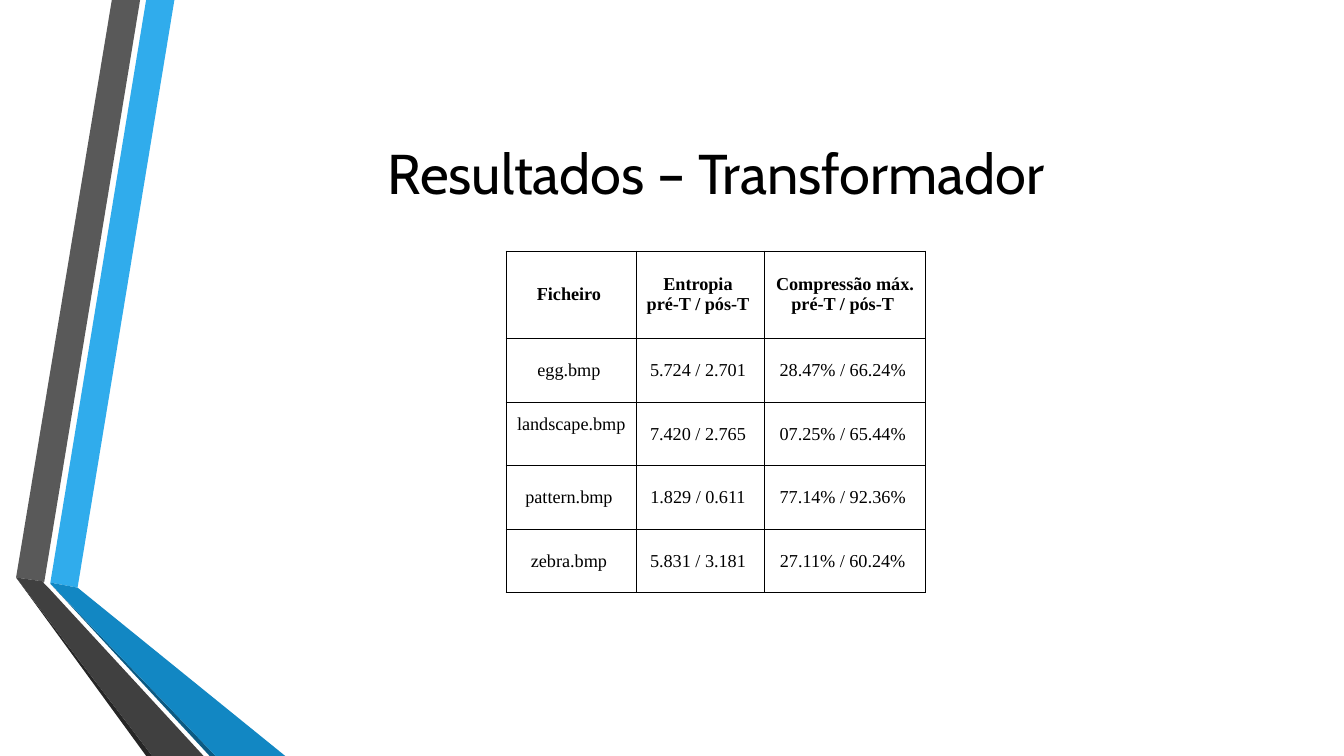
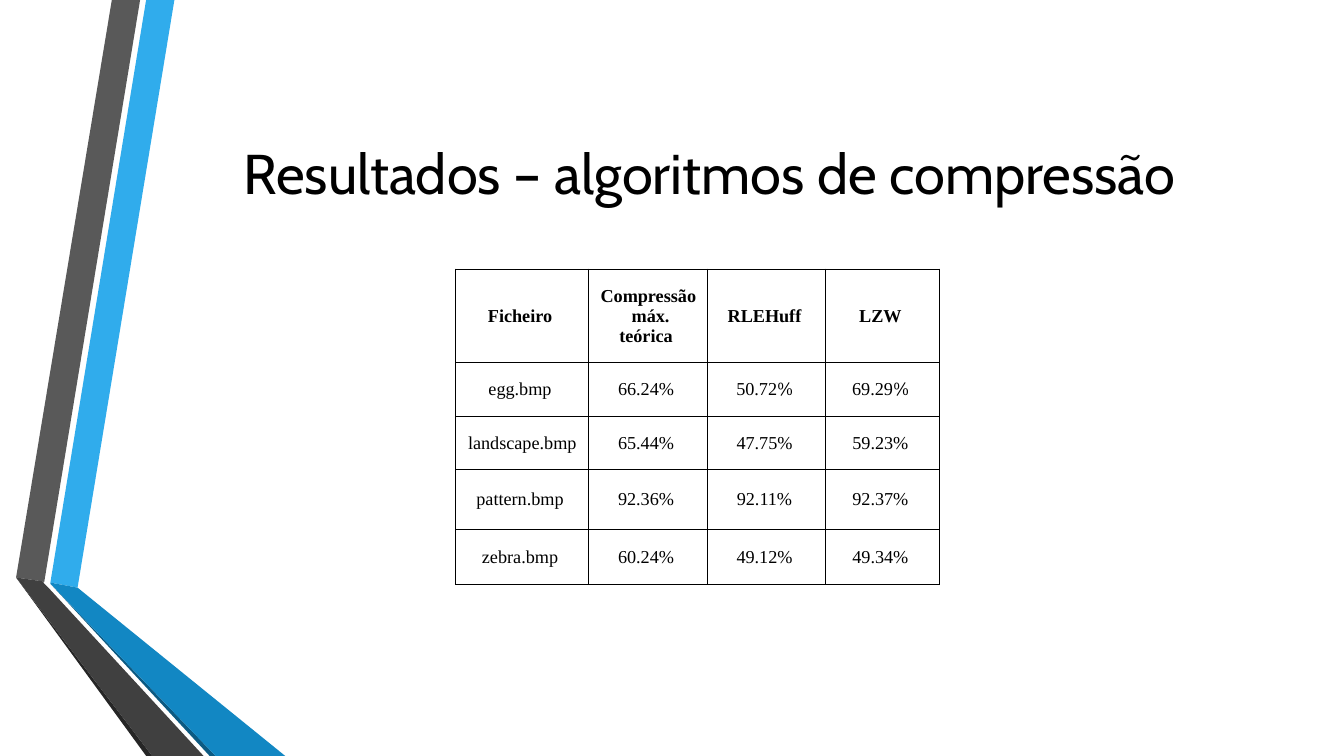
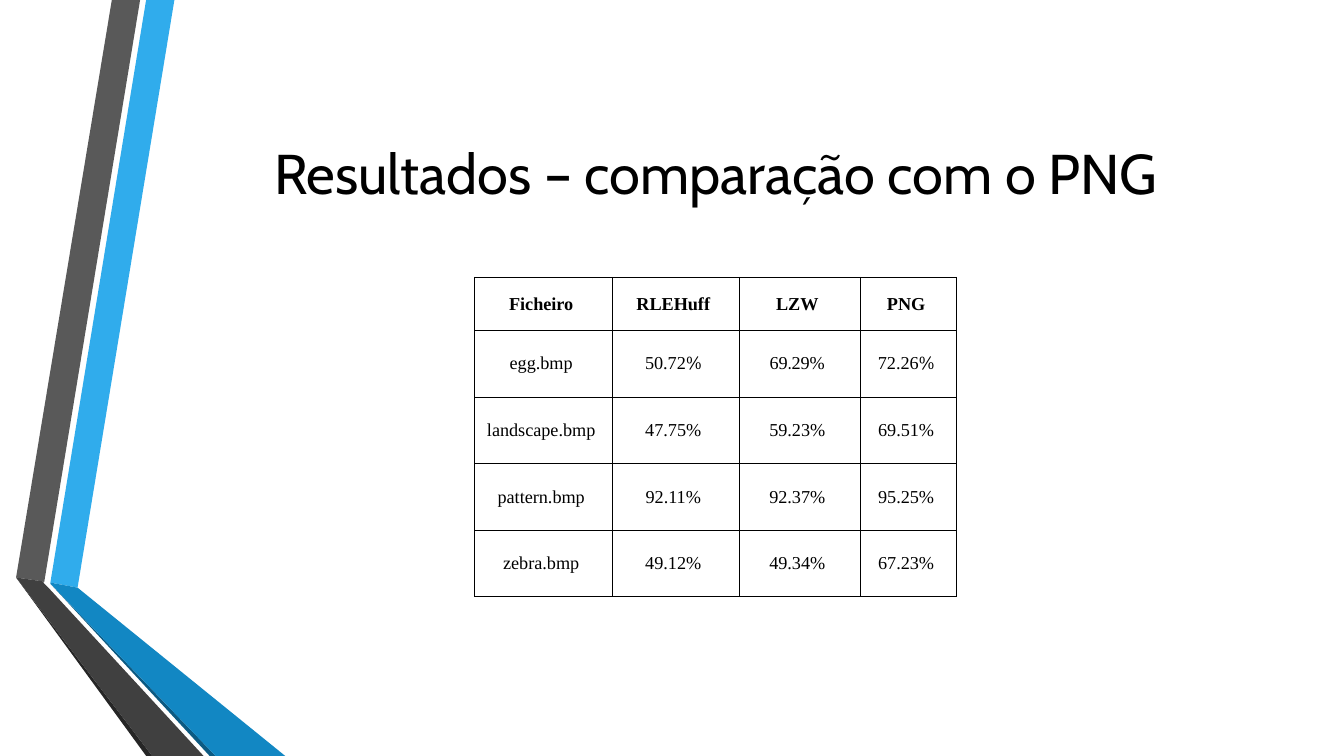
"""Builds three slides of compression results, each a title over a table."""
from dataclasses import dataclass

from lxml.etree import SubElement as Sub
from pptx import Presentation
from pptx.dml.color import RGBColor as RGB
from pptx.enum.text import MSO_ANCHOR as Anchor, PP_ALIGN as Align
from pptx.oxml.ns import qn
from pptx.slide import Slide
from pptx.table import _Cell as Cell
from pptx.util import Emu, Pt

PX = 9144
NBSP = chr(160)


@dataclass(frozen=True)
class Theme:
    """Colours, fonts and type sizes."""
    ink: str = "000000"
    paper: str = "FFFFFF"
    title_font: str = "Cabin"
    table_font: str = "Times New Roman"
    accent_font: str = "Cambria"
    title_size: int = 40
    table_size: int = 13
    border: float = 0.75


@dataclass(frozen=True)
class Band:
    """One coloured polygon of the folded ribbons at the left."""
    color: str
    points: tuple[tuple[int, int], ...]


@dataclass(frozen=True)
class Result:
    """One slide: '~' is a hard space, '|' switches to the accent font and back."""
    title: str
    left: int
    top: int
    cols: tuple[int, ...]
    rows: tuple[int, ...]
    cells: tuple[tuple[str, ...], ...]


THEME = Theme()
BANDS = (
    Band("30ACEC", ((50, 578), (77, 583), (173, 0), (145, 0))),
    Band("595959", ((139, 0), (111, 0), (16, 573), (44, 577))),
    Band("262626", ((16, 573), (145, 750), (151, 750))),
    Band("0C5A82", ((50, 579), (208, 750), (214, 750))),
    Band("1287C3", ((50, 579), (214, 750), (283, 750), (77, 583), (50, 578))),
    Band("404040", ((202, 750), (48, 583), (43, 578), (44, 577), (16, 573), (151, 750))),
)
RESULTS = (
    Result(
        "Resultados – Transformador", 502, 249, (129, 127, 160), (87, 63, 63, 63, 63),
        (
            ("Ficheiro~", "Entropia~\npré-T /~pós-T~", "Compressão~máx. pré-T /~pós-T~"),
            ("egg.bmp~", "5.724 / 2.701~", "28.47% / 66.24%~"),
            ("landscape.bmp~", "7.420 / 2.765~", "07.25% / 65.44%~"),
            ("pattern.bmp~", "1.829 / 0.611~", "77.14% / 92.36%~"),
            ("zebra.bmp~", "5.831 / 3.181~", "27.11% / 60.24%~"),
        ),
    ),
    Result(
        "Resultados – algoritmos de compressão ", 452, 267,
        (132, 118, 117, 113), (93, 53, 53, 59, 55),
        (
            ("Ficheiro~", "Compressão~máx. teórica~", "RLEHuff~", "LZW~"),
            ("egg.bmp~", "66.24%~", "50.72|%~", "69.29|%~"),
            ("landscape.bmp", "65.44%~", "47.75%~", "59.23%~"),
            ("pattern.bmp~", "92.36%~", "92.11%~", "92.37%~"),
            ("zebra.bmp~", "60.24%~", "49.12%~", "49.34%~"),
        ),
    ),
    Result(
        "Resultados – comparação com o PNG", 471, 275,
        (136, 126, 120, 96), (53, 66, 66, 66, 66),
        (
            ("Ficheiro~", "RLEHuff~", "LZW~", "PNG~"),
            ("egg.bmp~", "50.72|%~", "69|.|29%~", "72.26|%~"),
            ("landscape.bmp~", "47.75%~", "59.23%~", "69.51%~"),
            ("pattern.bmp~", "92.11%~", "92.37%~", "95.25%~"),
            ("zebra.bmp~", "49.12%~", "49.34%~", "67.23%~"),
        ),
    ),
)


def px(n: int) -> Emu:
    """Turn px into EMU."""
    return Emu(n * PX)


def style(p, font: str, size: int, bold: bool = False) -> None:
    """Centre a paragraph and set its font."""
    p.alignment = Align.CENTER
    p.font.name, p.font.size, p.font.bold = font, Pt(size), bold
    p.font.color.rgb = RGB.from_string(THEME.ink)


def add_bands(s: Slide) -> None:
    """Draw the ribbons as one group."""
    group = s.shapes.add_group_shape()
    for band in BANDS:
        builder = group.shapes.build_freeform(*band.points[0], scale=PX)
        builder.add_line_segments(band.points[1:], close=True)
        sp = builder.convert_to_shape()
        sp.shadow.inherit = False
        sp.fill.solid()
        sp.fill.fore_color.rgb = RGB.from_string(band.color)
        sp.line.fill.background()


def add_title(s: Slide, text: str) -> None:
    """Write the slide title."""
    tf = s.shapes.add_textbox(px(162), px(75), px(1096), px(192)).text_frame
    tf.word_wrap = True
    tf.vertical_anchor = Anchor.MIDDLE
    tf.text = text
    style(tf.paragraphs[0], THEME.title_font, THEME.title_size)


def add_borders(cell: Cell) -> None:
    """Rule all four sides of a cell."""
    tc_pr = cell._tc.get_or_add_tcPr()
    for i, side in enumerate(("lnL", "lnR", "lnT", "lnB")):
        ln = Sub(tc_pr, qn(f"a:{side}"), w=str(Pt(THEME.border)))
        Sub(Sub(ln, qn("a:solidFill")), qn("a:srgbClr"), val=THEME.ink)
        tc_pr.insert(i, ln)


def fill_cell(cell: Cell, text: str, bold: bool) -> None:
    """Give a cell its text, fill and borders."""
    cell.vertical_anchor = Anchor.MIDDLE
    cell.fill.solid()
    cell.fill.fore_color.rgb = RGB.from_string(THEME.paper)
    add_borders(cell)
    tf = cell.text_frame
    for i, line in enumerate(text.replace("~", NBSP).split("\n")):
        p = tf.add_paragraph() if i else tf.paragraphs[0]
        style(p, THEME.table_font, THEME.table_size, bold)
        for j, part in enumerate(line.split("|")):
            r = p.add_run()
            r.text = part
            if j % 2:
                r.font.name = THEME.accent_font


def add_results(s: Slide, result: Result) -> None:
    """Draw the results table."""
    table = s.shapes.add_table(
        len(result.rows), len(result.cols), px(result.left), px(result.top),
        px(sum(result.cols)), px(sum(result.rows)),
    ).table
    table.first_row = table.horz_banding = False
    for col, width in zip(table.columns, result.cols):
        col.width = px(width)
    for i, (row, height) in enumerate(zip(table.rows, result.rows)):
        row.height = px(height)
        for cell, text in zip(row.cells, result.cells[i]):
            fill_cell(cell, text, bold=i == 0)


def main() -> None:
    """Build and save the presentation."""
    prs = Presentation()
    prs.slide_width, prs.slide_height = px(1333), px(750)
    for result in RESULTS:
        s = prs.slides.add_slide(prs.slide_layouts[6])
        add_bands(s)
        add_title(s, result.title)
        add_results(s, result)
    prs.save("out.pptx")


if __name__ == "__main__":
    main()
